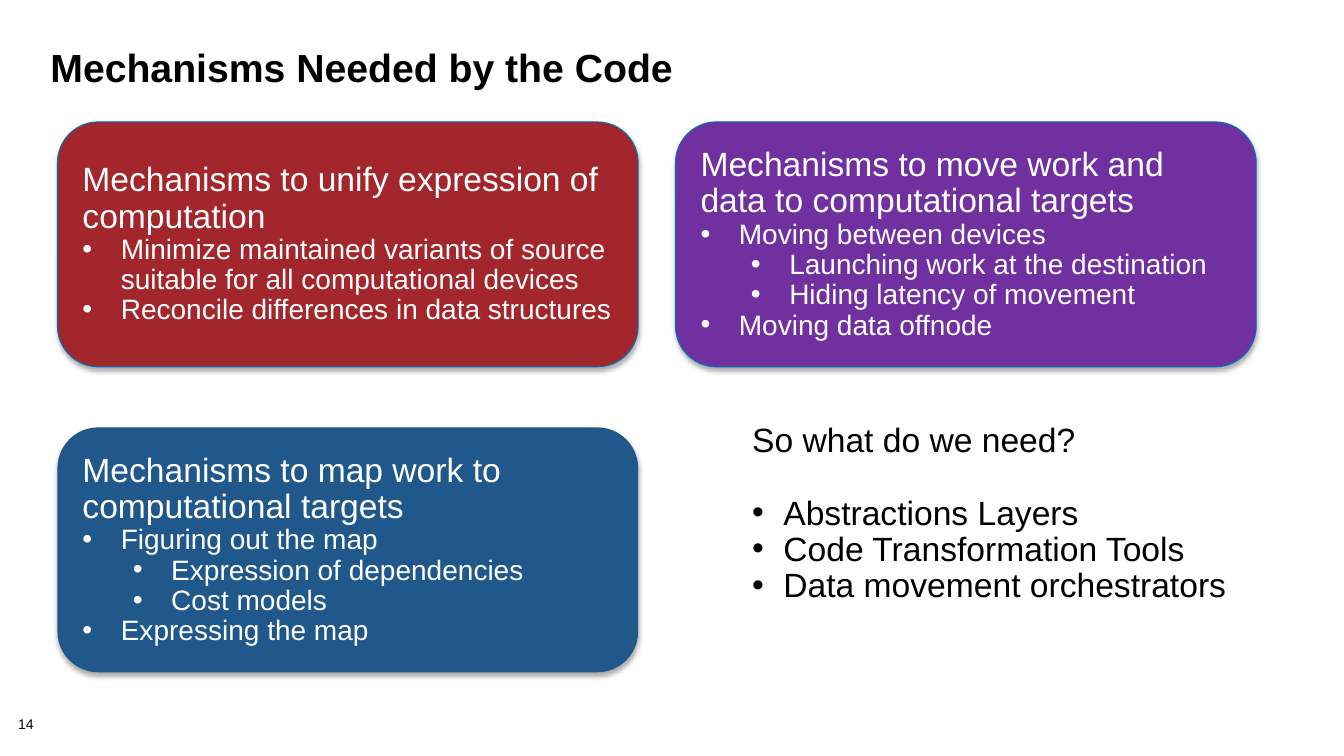
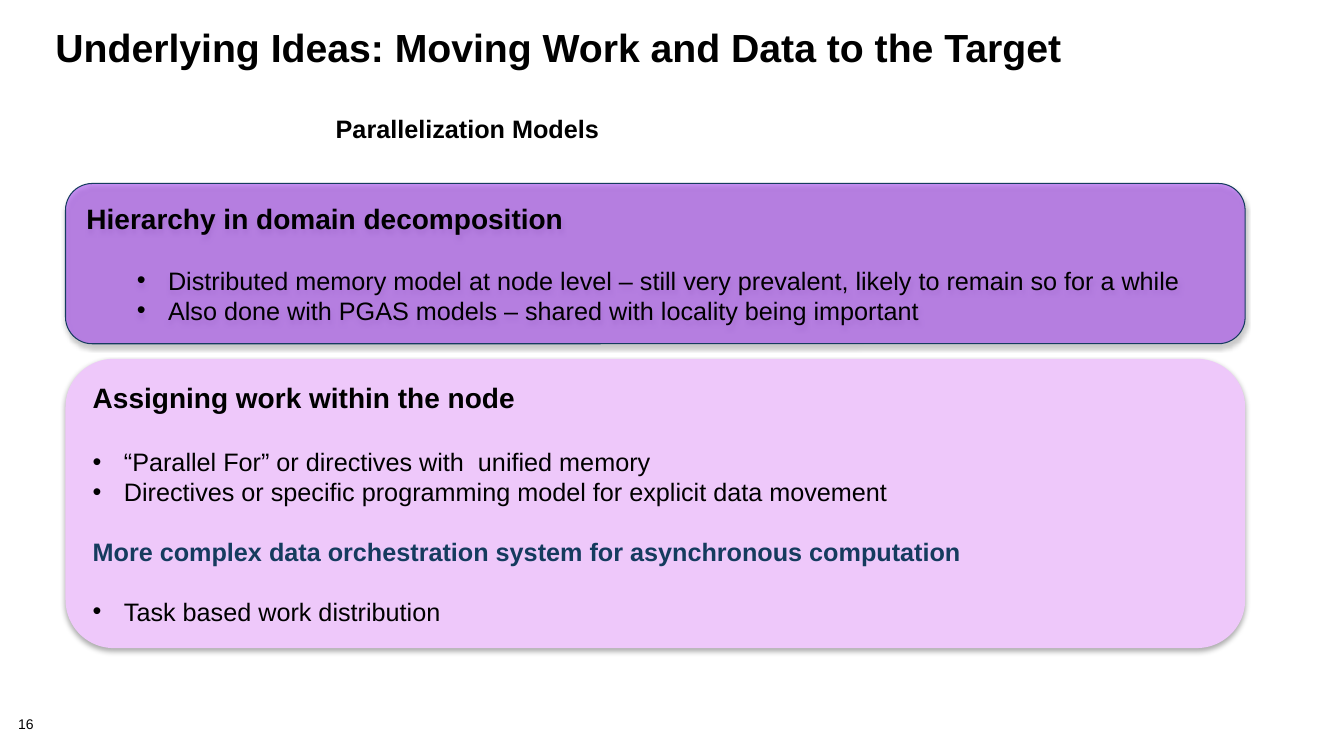
from lxml.etree import SubElement
from pptx import Presentation
from pptx.dml.color import RGBColor
from pptx.enum.shapes import MSO_SHAPE
from pptx.enum.text import MSO_ANCHOR, PP_ALIGN
from pptx.oxml.ns import qn
from pptx.util import Inches, Pt

FONT = "Arial"
BLACK = RGBColor(0x00, 0x00, 0x00)
WHITE = RGBColor(0xFF, 0xFF, 0xFF)
RED = RGBColor(0xA2, 0x26, 0x2B)
PURPLE = RGBColor(0x70, 0x30, 0xA0)
BLUE = RGBColor(0x20, 0x58, 0x8C)
SKY = RGBColor(0x00, 0x70, 0xC0)
VIOLET = RGBColor(0xA9, 0x52, 0xEE)
LILAC = RGBColor(0xEE, 0xC8, 0xFA)
NAVY = RGBColor(0x15, 0x3B, 0x5E)

# Line kinds: size, bold, level, left indent, hanging indent
CARD = {
    "head": (24, False, 0, 0, 0),
    "item": (20, False, 0, 0.38, 0.38),
    "sub": (20, False, 1, 0.88, 0.38),
}
NEED = {
    "head": (24, False, 0, 0, 0),
    "item": (24, False, 0, 0.31, 0.31),
}
BAND = {
    "head": (20, True, 0, 0, 0),
    "lead": (18, True, 0, 0, 0),
    "item": (18, False, 0, 0.31, 0.31),
    "sub": (18, False, 1, 0.81, 0.31),
}

# Each line: kind, text and, where needed, the space before it in points
CARDS = [
    (RED, SKY, [
        ("head", "Mechanisms to unify expression of computation"),
        ("item", "Minimize maintained variants of source suitable for all "
                 "computational devices"),
        ("item", "Reconcile differences in data structures"),
    ]),
    (PURPLE, SKY, [
        ("head", "Mechanisms to move work and data to computational targets"),
        ("item", "Moving between devices"),
        ("sub", "Launching work at the destination"),
        ("sub", "Hiding latency of movement"),
        ("item", "Moving data offnode"),
    ]),
    (BLUE, None, [
        ("head", "Mechanisms to map work to computational targets"),
        ("item", "Figuring out the map"),
        ("sub", "Expression of dependencies"),
        ("sub", "Cost models"),
        ("item", "Expressing the map"),
    ]),
]
NEEDS = [
    ("head", "So what do we need?"),
    ("item", "Abstractions Layers", 26),
    ("item", "Code Transformation Tools"),
    ("item", "Data movement orchestrators"),
]
MODELS = [("lead", "Parallelization Models")]
DOMAIN = [
    ("head", "Hierarchy in domain decomposition"),
    ("sub", "Distributed memory model at node level – still very prevalent, "
            "likely to remain so for a while", 21),
    ("sub", "Also done with PGAS models – shared with locality being "
            "important"),
]
NODE = [
    ("head", "Assigning work within the node"),
    ("item", "“Parallel For” or directives with  unified memory", 23),
    ("item", "Directives or specific programming model for explicit data "
             "movement"),
    ("lead", "More complex data orchestration system for asynchronous "
             "computation", 21),
    ("item", "Task based work distribution", 21),
]


def style(para, size, color, bold=False, space=None):
    para.alignment = PP_ALIGN.LEFT
    para.line_spacing = space
    for run in para.runs:
        run.font.name = FONT
        run.font.size = Pt(size)
        run.font.bold = bold
        run.font.color.rgb = color


def indent(para, level, left, hang):
    """Give a paragraph a bullet with a hanging indent."""
    para.level = level
    props = para._p.get_or_add_pPr()
    props.set("marL", str(Inches(left)))
    props.set("indent", str(-Inches(hang)))
    SubElement(props, qn("a:buFont"), typeface=FONT)
    SubElement(props, qn("a:buChar"), char="•")


def write(shape, lines, kinds, color, space=None, accent=None, wrap=True):
    """Fill a shape with lines; accent colours its lead lines."""
    frame = shape.text_frame
    frame.word_wrap = wrap
    frame.vertical_anchor = MSO_ANCHOR.MIDDLE
    frame.margin_left = frame.margin_right = Inches(0.13)
    frame.margin_top = frame.margin_bottom = Inches(0.07)
    for num, (kind, text, *gap) in enumerate(lines):
        para = frame.add_paragraph() if num else frame.paragraphs[0]
        para.text = text
        size, bold, level, left, hang = kinds[kind]
        if hang:
            indent(para, level, left, hang)
        if gap:
            para.space_before = Pt(gap[0])
        tint = accent if accent and kind == "lead" else color
        style(para, size, tint, bold, space)


def panel(slide, box, fill, line=None, alpha=None):
    """Add a rounded box with a soft shadow below it."""
    shape = slide.shapes.add_shape(MSO_SHAPE.ROUNDED_RECTANGLE,
                                   *map(Inches, box))
    shape.fill.solid()
    shape.fill.fore_color.rgb = fill
    props = shape._element.spPr
    if alpha:
        tone = props.find(qn("a:solidFill")).find(qn("a:srgbClr"))
        SubElement(tone, qn("a:alpha"), val=str(alpha * 1000))
    if line:
        shape.line.color.rgb = line
        shape.line.width = Pt(0.75)
    else:
        shape.line.fill.background()
    shape.shadow.inherit = False
    shade = SubElement(props.find(qn("a:effectLst")), qn("a:outerShdw"),
                       blurRad=str(Pt(3.5)), dist=str(Pt(2.2)),
                       dir="5400000", rotWithShape="0")
    tone = SubElement(shade, qn("a:srgbClr"), val=str(BLACK))
    SubElement(tone, qn("a:alpha"), val="32000")
    return shape


def label(slide, box):
    return slide.shapes.add_textbox(*map(Inches, box))


def start(deck, title, left, top, page):
    """Add a slide with its title and page number."""
    slide = deck.slides.add_slide(deck.slide_layouts[5])
    head = slide.shapes.title
    head.left, head.top = Inches(left), Inches(top)
    head.width, head.height = Inches(12.44), Inches(1)
    head.text_frame.text = title
    head.text_frame.vertical_anchor = MSO_ANCHOR.TOP
    style(head.text_frame.paragraphs[0], 28, BLACK, True, 0.85)

    frame = label(slide, (0.18, 7.12, 0.56, 0.16)).text_frame
    frame.margin_left = frame.margin_right = 0
    frame.margin_top = frame.margin_bottom = 0
    frame.text = str(page)
    style(frame.paragraphs[0], 10, BLACK, space=0.9)
    return slide


def needs(deck):
    slide = start(deck, "Mechanisms Needed by the Code", 0.4, 0.45, 14)
    for num, (fill, line, lines) in enumerate(CARDS):
        row, col = divmod(num, 2)
        box = (0.57 + col * 6.13, 1.21 + row * 3.03, 5.76, 2.43)
        write(panel(slide, box, fill, line), lines, CARD, WHITE, 0.9)
    write(label(slide, (7.33, 4.09, 5.01, 2.02)), NEEDS, NEED, BLACK, 0.9,
          wrap=False)


def ideas(deck):
    slide = start(deck, "Underlying Ideas: Moving Work and Data to the Target",
                  0.45, 0.25, 16)
    write(label(slide, (3.2, 1.07, 2.9, 0.45)), MODELS, BAND, BLACK, 0.9,
          wrap=False)
    write(panel(slide, (0.65, 1.82, 11.7, 1.59), VIOLET, NAVY, 63),
          DOMAIN, BAND, BLACK)
    write(panel(slide, (0.65, 3.56, 11.7, 2.87), LILAC),
          NODE, BAND, BLACK, accent=NAVY)


def main():
    deck = Presentation()
    deck.slide_width, deck.slide_height = Inches(13.33), Inches(7.5)
    needs(deck)
    ideas(deck)
    deck.save("out.pptx")


if __name__ == "__main__":
    main()
